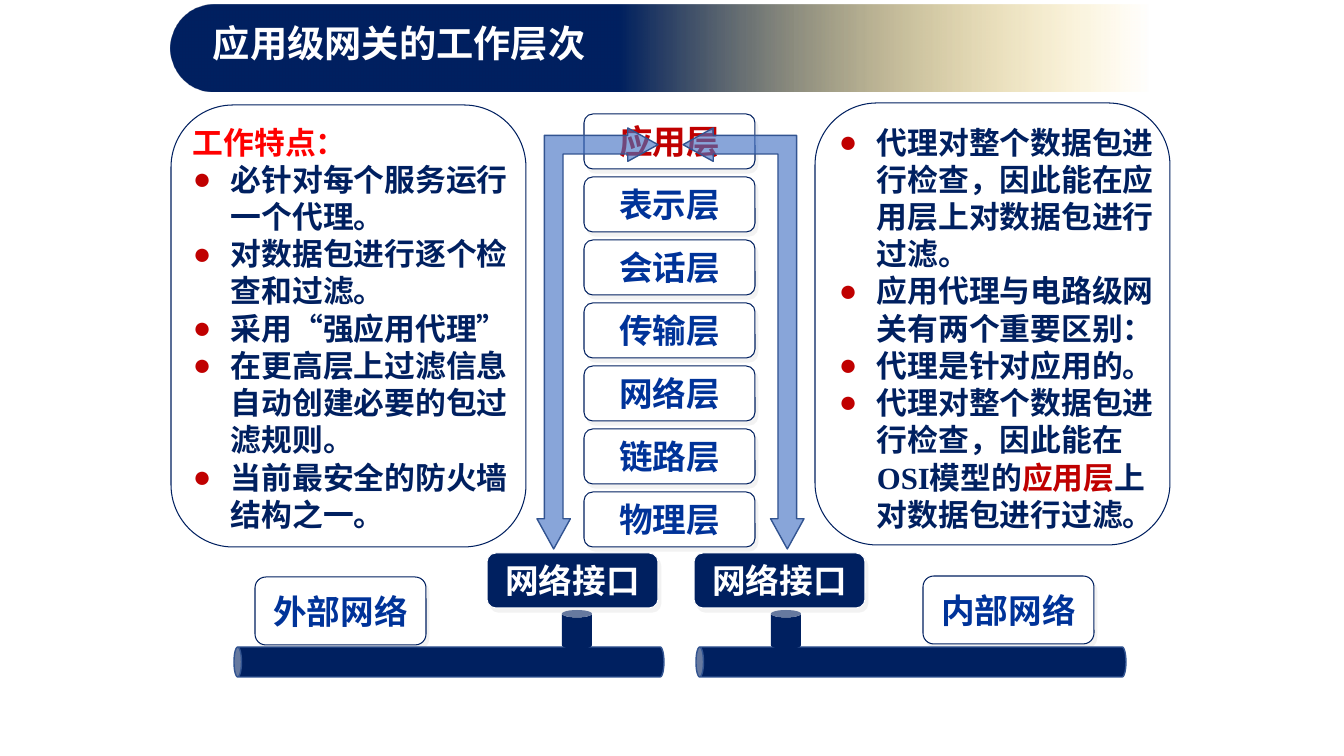
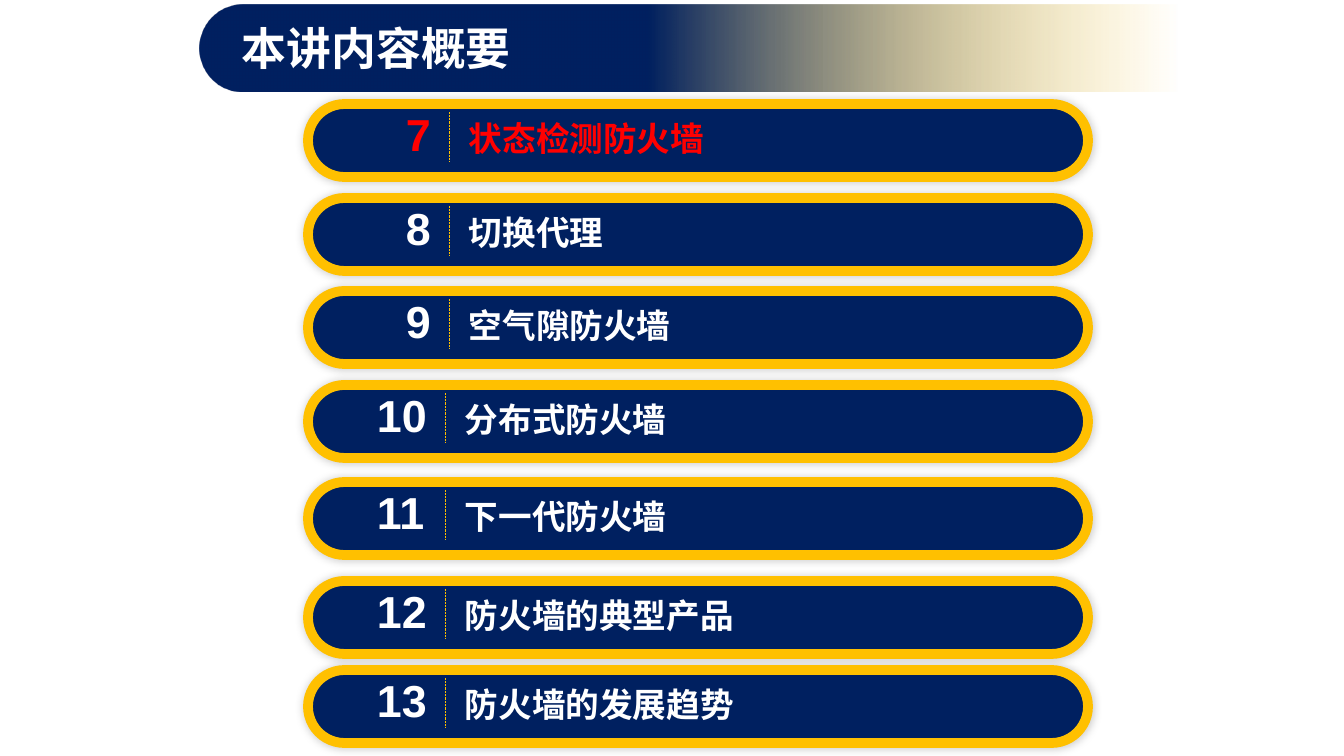
"""Build two firewall lecture slides: the gateway's layers and the outline."""
import lxml.etree
import pptx
import pptx.dml.color
import pptx.enum.dml
import pptx.enum.shapes
import pptx.enum.text
import pptx.oxml.ns
import pptx.util

PX = 914400 / 100.8
COLORS = {
    "navy": "002060", "gold": "FFC000", "white": "FFFFFF", "blue": "003399",
    "crimson": "C00000", "red": "FF0000", "arrow": "4472C4", "edge": "325491",
    "gray": "E7E6E6", "black": "000000",
}
CJK = "Noto Sans CJK SC"
SERIF = "Times New Roman"
SOFT_SHADOW = ("gray", 50, 0, 3.6, 56)
GLOW = ("black", 20, 6, 0, 315)
RGB = pptx.dml.color.RGBColor.from_string
SHAPES = pptx.enum.shapes.MSO_SHAPE
ALIGN = pptx.enum.text.PP_ALIGN
MIDDLE = pptx.enum.text.MSO_ANCHOR.MIDDLE
qn = pptx.oxml.ns.qn
SubElement = lxml.etree.SubElement


def place(page, kind, left, top, width, height, fill=None, line=None,
          weight=0.75, adjust=(), shadow=None, alpha=None):
    """Add a preset shape, measured in px, with its fill, line and shadow."""
    frame = [int(n * PX) for n in (left, top, width, height)]
    shape = page.shapes.add_shape(kind, *frame)
    for index, value in enumerate(adjust):
        shape.adjustments[index] = value
    if fill:
        shape.fill.solid()
        shape.fill.fore_color.rgb = RGB(COLORS[fill])
    if alpha:
        color = shape.element.spPr.find(".//" + qn("a:srgbClr"))
        SubElement(color, qn("a:alpha"), val=str(alpha * 1000))
    if line:
        shape.line.color.rgb = RGB(COLORS[line])
        shape.line.width = pptx.util.Pt(weight)
    else:
        shape.line.fill.background()
    shape.shadow.inherit = False
    if shadow:
        name, opacity, blur, distance, angle = shadow
        effects = shape.element.spPr.find(qn("a:effectLst"))
        outer = SubElement(effects, qn("a:outerShdw"), blurRad=str(blur * 12700),
                           dist=str(int(distance * 12700)), dir=str(angle * 60000),
                           algn="ctr", rotWithShape="0")
        color = SubElement(outer, qn("a:srgbClr"), val=COLORS[name])
        SubElement(color, qn("a:alpha"), val=str(opacity * 1000))
    return shape


def write(box, *spans, size=24, color="blue", font=SERIF, align=None, anchor=None,
          spacing=None, bullet=False, tab=None):
    """Add one paragraph; a span is text, or text with its own format."""
    frame = box.text_frame
    frame.word_wrap = True
    if anchor is not None:
        frame.vertical_anchor = anchor
    para = frame.add_paragraph() if frame.text else frame.paragraphs[0]
    properties = para._p.get_or_add_pPr()
    if bullet:
        indent = int(38 * PX)
        properties.set("marL", str(indent))
        properties.set("indent", str(-indent))
        tint = SubElement(properties, qn("a:buClr"))
        SubElement(tint, qn("a:srgbClr"), val=COLORS["crimson"])
        SubElement(properties, qn("a:buFont"), typeface="Arial")
        SubElement(properties, qn("a:buChar"), char="●")
    if tab:
        stops = SubElement(properties, qn("a:tabLst"))
        SubElement(stops, qn("a:tab"), pos=str(int(tab * PX)), algn="l")
    if align is not None:
        para.alignment = align
    if spacing:
        para.line_spacing = pptx.util.Pt(spacing)
    for item in spans:
        text, own = (item, {}) if isinstance(item, str) else item
        span = para.add_run()
        span.text = text
        span.font.size = pptx.util.Pt(own.get("size", size))
        span.font.bold = True
        span.font.color.rgb = RGB(COLORS[own.get("color", color)])
        span.font.name = own.get("font", font)
        SubElement(span._r.get_or_add_rPr(), qn("a:ea"), typeface=CJK)


deck = pptx.Presentation()
deck.slide_width = int(1344 * PX)
deck.slide_height = int(756 * PX)

pages = []
for title, size, left, height in (("应用级网关的工作层次", 26.6, 171, 55),
                                  ("本讲内容概要", 32, 200, 65)):
    page = deck.slides.add_slide(deck.slide_layouts[6])
    band = place(page, SHAPES.ROUNDED_RECTANGLE, left, 5, 1063, 87, adjust=[0.5])
    band.fill.gradient()
    band.fill.gradient_angle = 0
    for stop, position, name in zip(band.fill.gradient_stops, (0.42, 0.92), ("navy", "gold")):
        stop.position = position
        stop.color.rgb = RGB(COLORS[name])
    fading = band.element.spPr.findall(".//" + qn("a:srgbClr"))[-1]
    SubElement(fading, qn("a:alpha"), val="0")
    box = page.shapes.add_textbox(*[int(n * PX) for n in (left + 32, 15, 668, height)])
    write(box, title, size=size, color="white", font=CJK, anchor=MIDDLE)
    pages.append(page)
layers_page, outline_page = pages

layers = ["应用层", "表示层", "会话层", "传输层", "网络层", "链路层", "物理层"]
labels = [(name, 584, 114 + 63 * row, 55, "white", "navy", "blue" if row else "crimson")
          for row, name in enumerate(layers)]
labels += [
    ("外部网络", 255, 577, 68, "white", "navy", "blue"),
    ("内部网络", 923, 576, 68, "white", "navy", "blue"),
    ("网络接口", 487, 553, 55, "navy", "white", "white"),
    ("网络接口", 694, 553, 55, "navy", "white", "white"),
]
for name, left, top, height, fill, line, color in labels:
    box = place(layers_page, SHAPES.ROUNDED_RECTANGLE, left, top, 171, height, fill, line,
                adjust=[0.159], shadow=SOFT_SHADOW)
    write(box, name, color=color, align=ALIGN.CENTER, anchor=MIDDLE)

panels = [
    (815, 103, 829, 347, None, [
        ["代理对整个数据包进行检查，因此能在应用层上对数据包进行过滤。"],
        ["应用代理与电路级网关有两个重要区别："],
        ["代理是针对应用的。"],
        ["代理对整个数据包进行检查，因此能在OSI模型的",
         ("应用层", {"color": "crimson"}), "上对数据包进行过滤。"],
    ]),
    (171, 105, 183, 338, "工作特点：", [
        ["必针对每个服务运行一个代理。"],
        ["对数据包进行逐个检查和过滤。"],
        ["采用“强应用代理”"],
        ["在更高层上过滤信息自动创建必要的包过滤规则。"],
        ["当前最安全的防火墙结构之一。"],
    ]),
]
for left, top, text_left, text_width, heading, points in panels:
    place(layers_page, SHAPES.ROUNDED_RECTANGLE, left, top, 355, 442, "white", "navy",
          adjust=[0.175])
    box = layers_page.shapes.add_textbox(
        *[int(n * PX) for n in (text_left, 118, text_width, 420)])
    if heading:
        write(box, heading, size=22, color="red", spacing=26.6)
    for spans in points:
        write(box, *spans, size=22, color="navy", spacing=26.6, bullet=True)

for pipe_left, stub_left in ((434, 562), (896, 771)):
    pipe = place(layers_page, SHAPES.CAN, pipe_left, 447, 30, 430, "navy", "edge", 1)
    pipe.rotation = 270
    place(layers_page, SHAPES.CAN, stub_left, 610, 30, 39, "navy")

for left, flips in ((683, ["flipV"]), (537, ["flipH", "flipV"])):
    arrow = place(layers_page, SHAPES.LEFT_UP_ARROW, left, 128, 121, 421, "arrow", "edge", 1,
                  adjust=[0.154, 0.138, 0.25], alpha=63)
    for flip in flips:
        arrow.element.spPr.find(qn("a:xfrm")).set(flip, "1")

topics = [
    ("7", "状态检测防火墙", 104), ("8", "切换代理", 198), ("9", "空气隙防火墙", 291),
    ("10", "分布式防火墙", 385), ("11", "下一代防火墙", 482),
    ("12", "防火墙的典型产品", 581), ("13", "防火墙的发展趋势", 670),
]
for number, topic, top in topics:
    text_left, tab, rule_x = (396, 63, 449) if len(number) == 1 else (367, 88, 445)
    place(outline_page, SHAPES.ROUNDED_RECTANGLE, 308, top, 780, 73, "navy", "gold", 7,
          adjust=[0.5], shadow=GLOW)
    box = outline_page.shapes.add_textbox(
        *[int(n * PX) for n in (text_left, top - 3, 509, 65)])
    write(box, (number + "\t", {"size": 32, "font": "Arial"}), topic, font=CJK,
          color="red" if number == "7" else "white", anchor=MIDDLE, tab=tab)
    rule = outline_page.shapes.add_connector(
        pptx.enum.shapes.MSO_CONNECTOR.STRAIGHT,
        *[int(n * PX) for n in (rule_x, top + 8, rule_x, top + 57)])
    rule.line.color.rgb = RGB(COLORS["gold"])
    rule.line.width = pptx.util.Pt(0.5)
    rule.line.dash_style = pptx.enum.dml.MSO_LINE.ROUND_DOT
    SubElement(rule.element.spPr, qn("a:effectLst"))

deck.save("out.pptx")
